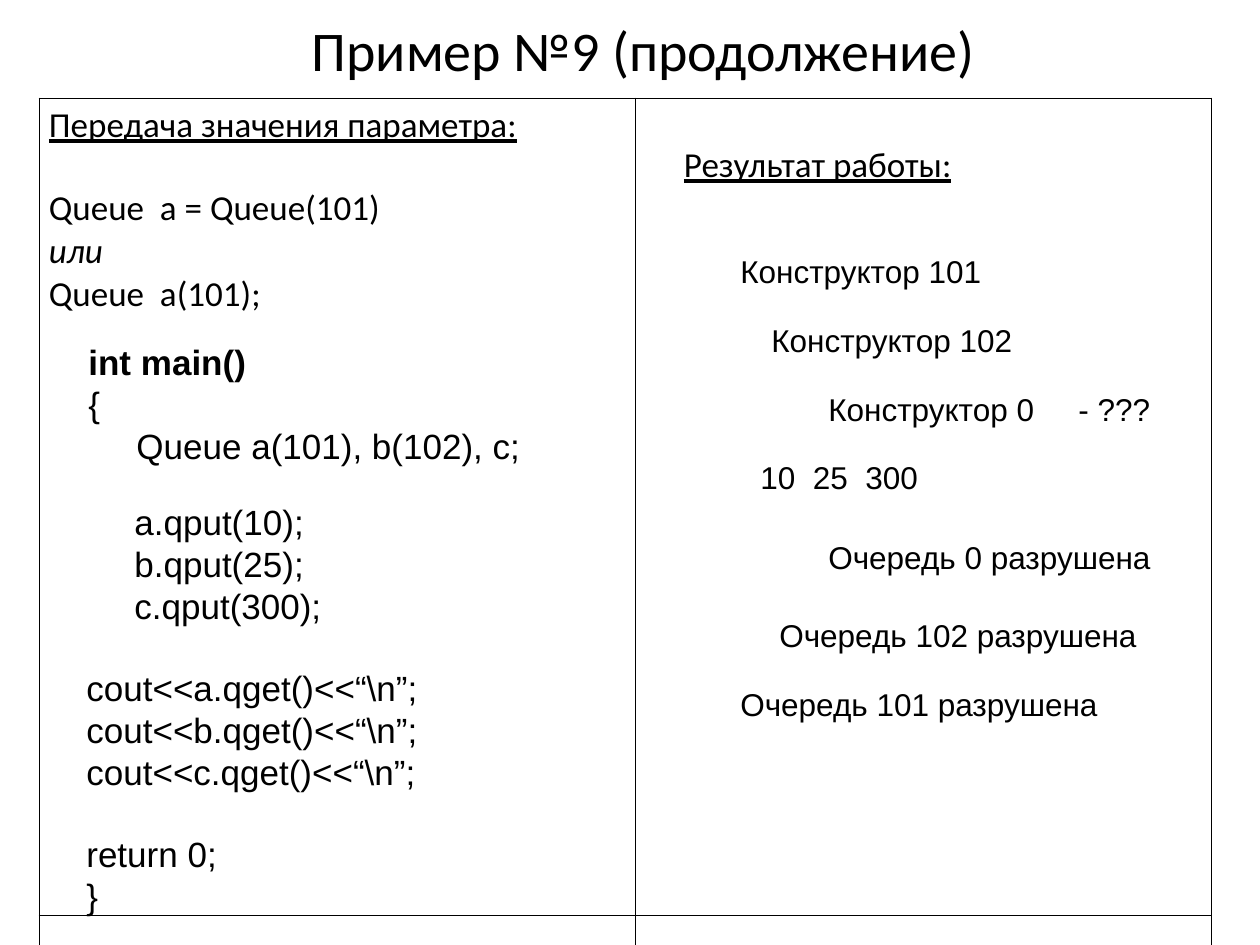
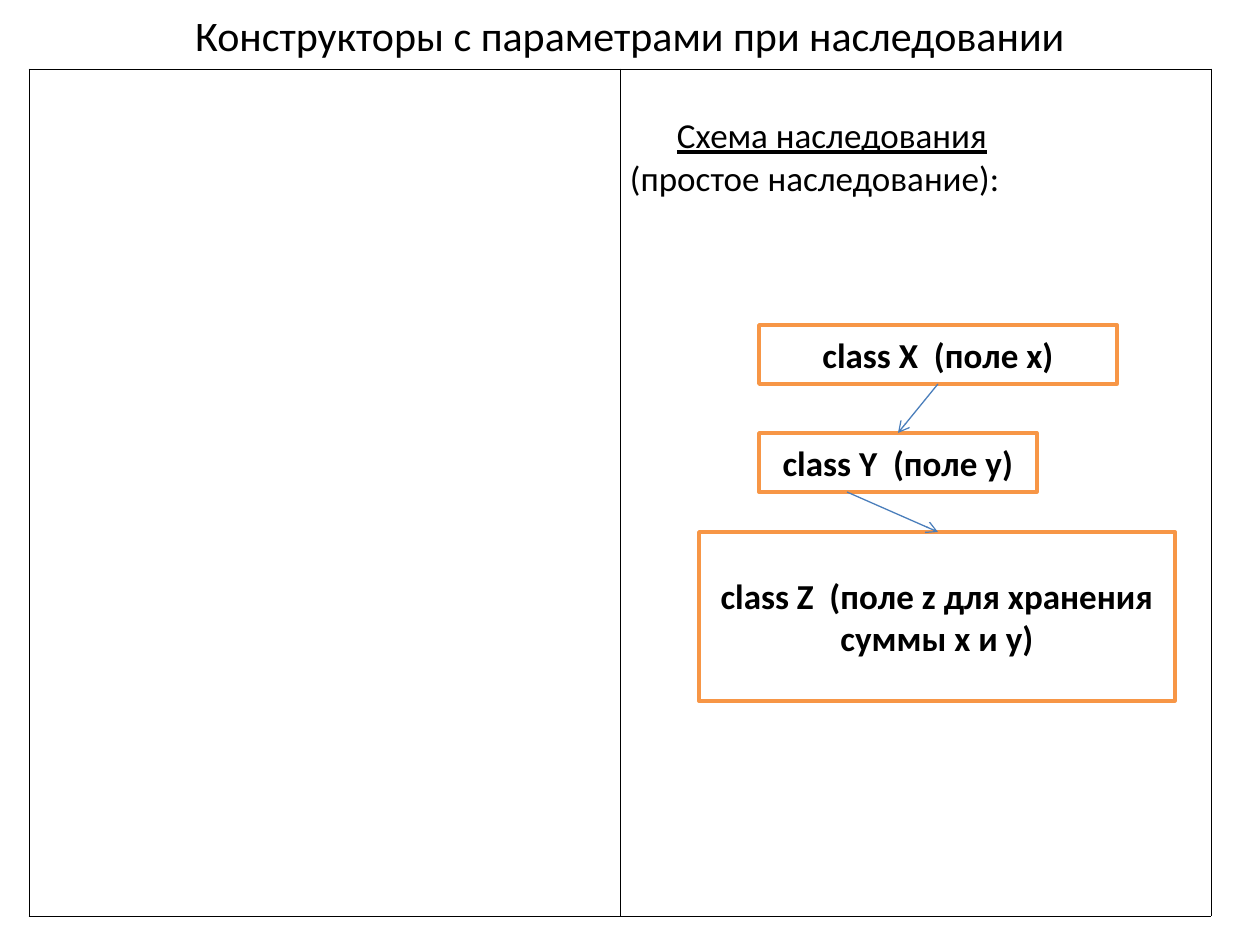
import dataclasses

import lxml.etree
import pptx
import pptx.dml.color
import pptx.enum.shapes
import pptx.enum.text
import pptx.oxml
import pptx.oxml.ns
import pptx.util

PIXEL = 914400 / 126
COLOURS = {"ink": "000000", "paper": "FFFFFF", "box": "F79646", "arrow": "4A7EBB"}
TEXT_FONT, CODE_FONT = "Calibri", "Arial"
ARIAL_LINE = 23  # points taken by one 20 pt line
ALIGN = pptx.enum.text.PP_ALIGN
ANCHOR = pptx.enum.text.MSO_ANCHOR
FIT = pptx.enum.text.MSO_AUTO_SIZE


@dataclasses.dataclass
class Line:
    text: str
    bold: bool = False
    italic: bool = False
    underline: bool = False
    before: float = 0  # points
    margin: int = 0  # pixels
    first: int = 0  # pixels, first line only
    tab: int = 0  # pixels


@dataclasses.dataclass
class Place:
    left: int
    top: int
    width: int
    height: int

    def emu(self) -> tuple:
        return tuple(px(side) for side in dataclasses.astuple(self))


@dataclasses.dataclass
class ClassBox:
    text: str
    place: Place


def px(length: float) -> int:
    return pptx.util.Emu(round(length * PIXEL))


def colour(name: str) -> pptx.dml.color.RGBColor:
    return pptx.dml.color.RGBColor.from_string(COLOURS[name])


def write(frame, lines: list, font: str, size: float, align=ALIGN.LEFT) -> None:
    for index, line in enumerate(lines):
        paragraph = frame.paragraphs[0] if index == 0 else frame.add_paragraph()
        paragraph.text = line.text
        paragraph.alignment = align
        if line.before:
            paragraph.space_before = pptx.util.Pt(line.before)
        properties = paragraph._p.get_or_add_pPr()
        if line.margin or line.first:
            properties.set("marL", str(px(line.margin)))
            properties.set("indent", str(px(line.first)))
        if line.tab:
            stops = lxml.etree.SubElement(properties, pptx.oxml.ns.qn("a:tabLst"))
            lxml.etree.SubElement(stops, pptx.oxml.ns.qn("a:tab"),
                                  pos=str(px(line.tab)), algn="l")
        style = paragraph.font
        style.name, style.size = font, pptx.util.Pt(size)
        style.color.rgb = colour("ink")
        style.bold, style.italic = line.bold, line.italic
        style.underline = line.underline


def add_titled_slide(deck, title: str, place: Place, size: float):
    slide = deck.slides.add_slide(deck.slide_layouts[5])
    heading = slide.shapes.title
    heading.left, heading.top, heading.width, heading.height = place.emu()
    heading.text_frame.auto_size = FIT.NONE
    heading.text_frame.vertical_anchor = ANCHOR.MIDDLE
    write(heading.text_frame, [Line(title)], TEXT_FONT, size, ALIGN.CENTER)
    return slide


def outline_cell(cell) -> None:
    cell.fill.background()
    properties = cell._tc.get_or_add_tcPr()
    for order, side in enumerate(("lnL", "lnR", "lnT", "lnB")):
        border = pptx.oxml.parse_xml(
            f'<a:{side} {pptx.oxml.ns.nsdecls("a")} w="{pptx.util.Pt(0.45)}">'
            f'<a:solidFill><a:srgbClr val="{COLOURS["ink"]}"/></a:solidFill></a:{side}>')
        properties.insert(order, border)


def add_frame_table(slide, left: int, top: int, columns: list, rows: list):
    place = Place(left, top, sum(columns), sum(rows))
    table = slide.shapes.add_table(len(rows), len(columns), *place.emu()).table
    table.first_row = table.horz_banding = False
    for column, width in zip(table.columns, columns):
        column.width = px(width)
    for row, height in zip(table.rows, rows):
        row.height = px(height)
    for cell in table.iter_cells():
        outline_cell(cell)
        cell.margin_left = cell.margin_right = px(10)
        cell.margin_top = cell.margin_bottom = px(6)
    return table


def add_text(slide, place: Place, lines: list, size: float, align=ALIGN.LEFT) -> None:
    frame = slide.shapes.add_textbox(*place.emu()).text_frame
    frame.word_wrap = True
    frame.auto_size = FIT.SHAPE_TO_FIT_TEXT
    write(frame, lines, CODE_FONT, size, align)


def add_class_box(slide, box: ClassBox) -> None:
    shape = slide.shapes.add_shape(pptx.enum.shapes.MSO_SHAPE.RECTANGLE, *box.place.emu())
    shape.shadow.inherit = False
    shape.fill.solid()
    shape.fill.fore_color.rgb = colour("paper")
    shape.line.color.rgb = colour("box")
    shape.line.width = pptx.util.Pt(2)
    shape.text_frame.word_wrap = True
    shape.text_frame.vertical_anchor = ANCHOR.MIDDLE
    write(shape.text_frame, [Line(box.text, bold=True)], TEXT_FONT, 20, ALIGN.CENTER)


def add_arrow(slide, start: tuple, end: tuple) -> None:
    arrow = slide.shapes.add_connector(pptx.enum.shapes.MSO_CONNECTOR.STRAIGHT,
                                       *(px(value) for value in start + end))
    arrow.line.color.rgb = colour("arrow")
    arrow.line.width = pptx.util.Pt(0.75)
    lxml.etree.SubElement(arrow.line._get_or_add_ln(),
                          pptx.oxml.ns.qn("a:tailEnd"), type="arrow")
    lxml.etree.SubElement(arrow._element.spPr, pptx.oxml.ns.qn("a:effectLst"))


deck = pptx.Presentation()
deck.slide_width, deck.slide_height = px(1260), px(945)

# Example 9: program and its output
example = add_titled_slide(deck, "Пример №9 (продолжение)", Place(108, 0, 1071, 98), 32)
columns = add_frame_table(example, 39, 98, [596, 576], [817, 817])
write(columns.cell(0, 0).text_frame, [
    Line("Передача значения параметра:", underline=True),
    Line("Queue  a = Queue(101)", before=ARIAL_LINE),
    Line("или", italic=True),
    Line("Queue  a(101);"),
], TEXT_FONT, 20, ALIGN.JUSTIFY)
result_cell = columns.cell(0, 1)
result_cell.margin_left, result_cell.margin_top = px(49), px(46)
write(result_cell.text_frame, [Line("Результат работы:", underline=True)],
      TEXT_FONT, 20, ALIGN.JUSTIFY)

# Output lines, indented by object lifetime
OUTPUT = [
    (728, 246, "Конструктор 101"),
    (759, 315, "Конструктор 102"),
    (816, 384, "Конструктор 0\t- ???"),
    (748, 452, "10  25  300"),
    (816, 532, "Очередь 0 разрушена"),
    (767, 610, "Очередь 102 разрушена"),
    (728, 679, "Очередь 101 разрушена"),
]
for left, top, text in OUTPUT:
    add_text(example, Place(left, top, 444, 50),
             [Line(text, tab=250 if "\t" in text else 0)], 18)

# Program text
add_text(example, Place(76, 334, 457, 139), [
    Line("int main()", bold=True),
    Line("{"),
    Line("Queue a(101), b(102), c;", margin=48),
], 20, ALIGN.JUSTIFY)
puts = [Line(f"{queue}.qput({value});", margin=48)
        for queue, value in (("a", 10), ("b", 25), ("c", 300))]
gets = [Line(f"cout<<{queue}.qget()<<“\\n”;", before=ARIAL_LINE if queue == "a" else 0)
        for queue in "abc"]
ending = [Line("return 0;", before=ARIAL_LINE), Line("}")]
add_text(example, Place(74, 494, 507, 433), puts + gets + ending, 20, ALIGN.JUSTIFY)

# Inheritance scheme
inheritance = add_titled_slide(deck, "Конструкторы с параметрами при наследовании",
                               Place(0, 0, 1260, 69), 24)
scheme_cell = add_frame_table(inheritance, 29, 69, [591, 591], [847]).cell(0, 1)
scheme_cell.margin_top = px(46)
write(scheme_cell.text_frame, [Line("", first=47, tab=484)], TEXT_FONT, 20)
caption = scheme_cell.text_frame.paragraphs[0]
scheme_name = caption.add_run()
scheme_name.text = "Схема наследования\t"
scheme_name.font.underline = True
caption.add_line_break()
caption.add_run().text = "(простое наследование):"

CLASSES = [
    ClassBox("class X  (поле x)", Place(759, 325, 358, 59)),
    ClassBox("class Z  (поле z для хранения суммы x и y)", Place(699, 532, 476, 169)),
    ClassBox("class Y  (поле у)", Place(759, 433, 278, 59)),
]
for class_box in CLASSES:
    add_class_box(inheritance, class_box)
add_arrow(inheritance, (938, 384), (898, 433))
add_arrow(inheritance, (847, 492), (938, 532))

deck.save("out.pptx")
